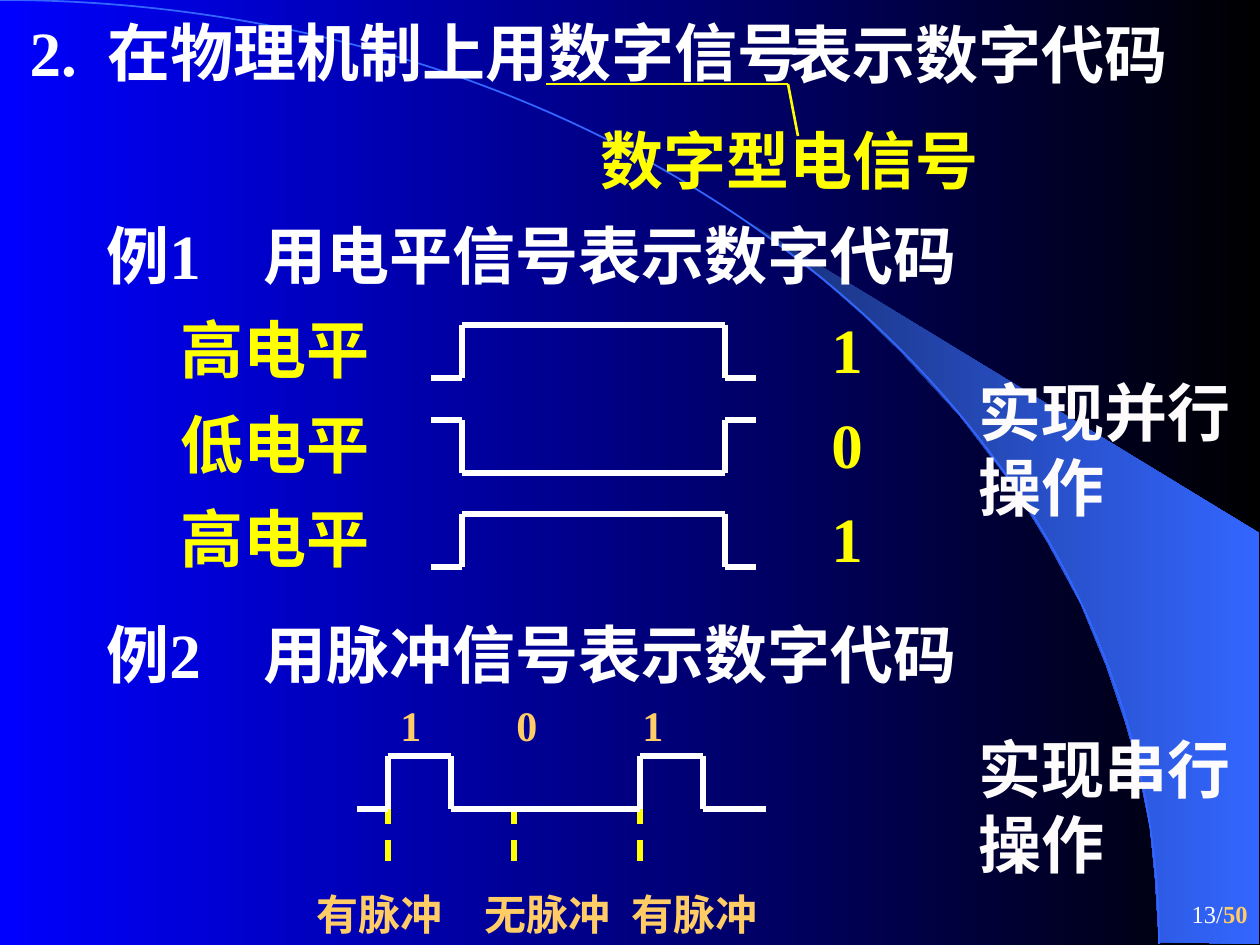
"""Build the slide on representing digital codes with level and pulse signals."""
from lxml import etree
from pptx import Presentation
from pptx.dml.color import RGBColor
from pptx.enum.dml import MSO_LINE
from pptx.enum.shapes import MSO_CONNECTOR
from pptx.enum.text import MSO_ANCHOR, MSO_AUTO_SIZE, PP_ALIGN
from pptx.oxml.ns import qn
from pptx.util import Emu, Pt

PX = 914400 / 126
FONT = "Times New Roman"
COLORS = {
    "blue": "0000FF",
    "black": "000000",
    "ray_dark": "182F76",
    "ray_light": "3366FF",
    "white": "FFFFFF",
    "off_white": "FDFBFB",
    "yellow": "FFFF00",
    "amber": "FFCC66",
}
RGB = {name: RGBColor.from_string(value) for name, value in COLORS.items()}


def write_text(shape, box, text, color, size=36, tab=None):
    shape.left, shape.top, shape.width, shape.height = [Emu(round(v * PX)) for v in box]
    frame = shape.text_frame
    frame.word_wrap = True
    frame.auto_size = MSO_AUTO_SIZE.NONE
    frame.vertical_anchor = MSO_ANCHOR.TOP
    frame.text = text
    paragraph = frame.paragraphs[0]
    paragraph.alignment = PP_ALIGN.LEFT
    if tab:
        stops = etree.SubElement(paragraph._p.get_or_add_pPr(), qn("a:tabLst"))
        etree.SubElement(stops, qn("a:tab"), pos=str(round(tab * PX)), algn="l")
    paragraph.font.name = FONT
    paragraph.font.size = Pt(size)
    paragraph.font.bold = True
    paragraph.font.color.rgb = RGB[color]


def draw_lines(points, color, width=3, dash=None):
    for start, end in zip(points, points[1:]):
        ends = [Emu(round(v * PX)) for v in start + end]
        segment = slide.shapes.add_connector(MSO_CONNECTOR.STRAIGHT, *ends)
        segment.line.color.rgb = RGB[color]
        segment.line.width = Pt(width)
        if dash:
            segment.line.dash_style = dash
        etree.SubElement(segment._element.spPr, qn("a:effectLst"))


presentation = Presentation()
presentation.slide_width = Emu(round(1260 * PX))
presentation.slide_height = Emu(round(945 * PX))
slide = presentation.slides.add_slide(presentation.slide_layouts[5])

ray_outline = [
    (1159, 942), (1259, 944), (1259, 533), (742, 218), (786, 251), (823, 280),
    (863, 315), (902, 353), (960, 416), (1012, 484), (1048, 543), (1081, 604),
    (1106, 665), (1125, 721), (1138, 767), (1150, 827), (1155, 877),
]
horizon_controls = [(0, 0), (640, 0), (1159, 422), (1159, 944)]
outlines = []
for points, closed in ((ray_outline, True), (horizon_controls, False)):
    corners = [(round(x * PX), round(y * PX)) for x, y in points]
    builder = slide.shapes.build_freeform(*corners[0])
    builder.add_line_segments(corners[1:], close=closed)
    outline = builder.convert_to_shape()
    outline.shadow.inherit = False
    outlines.append(outline)
ray, horizon = outlines
ray.line.fill.background()
horizon.fill.background()
horizon.line.color.rgb = RGB["ray_light"]
horizon.line.width = Pt(1)

horizon_path = next(horizon._element.iter(qn("a:path")))
curve = etree.SubElement(horizon_path, qn("a:cubicBezTo"))
for straight in horizon_path.findall(qn("a:lnTo")):
    curve.append(straight[0])
    horizon_path.remove(straight)

for fill, shades in (
    (slide.background.fill, ("blue", "black")),
    (ray.fill, ("ray_dark", "ray_light")),
):
    fill.gradient()
    fill.gradient_angle = 0
    for stop, shade, position in zip(fill.gradient_stops, shades, (0, 1)):
        stop.color.rgb = RGB[shade]
        stop.position = position

title = slide.shapes.title
write_text(title, (17, 7, 998, 97), "2.\t在物理机制上用数字信号", "white", tab=78)
slide.shapes._spTree.append(title._element)

labels = [
    ((777, 9, 471, 97), "表示数字代码", "white", 36, None),
    ((588, 115, 494, 88), "数字型电信号", "yellow", 36, None),
    ((94, 210, 987, 88), "例1\t用电平信号表示数字代码", "white", 36, 157),
    ((94, 609, 987, 88), "例2\t用脉冲信号表示数字代码", "white", 36, 157),
    ((966, 367, 294, 164), "实现并行操作", "off_white", 36, None),
    ((966, 724, 294, 164), "实现串行操作", "off_white", 36, None),
]
for top, level, bit in ((304, "高电平", "1"), (399, "低电平", "0"), (493, "高电平", "1")):
    labels.append(((168, top, 325, 88), level, "yellow", 36, None))
    labels.append(((819, top, 168, 88), bit, "yellow", 36, None))
    high, low = top + 21, top + 74
    rest, active = (low, high) if bit == "1" else (high, low)
    draw_lines(
        [(431, rest), (462, rest), (462, active), (725, active), (725, rest), (756, rest)],
        "white",
    )

for bit_left, pulse_left, tick, bit, pulse in (
    (388, 304, 388, "1", "有脉冲"),
    (504, 472, 514, "0", "无脉冲"),
    (630, 619, 640, "1", "有脉冲"),
):
    labels.append(((bit_left, 693, 94, 63), bit, "amber", 24, None))
    labels.append(((pulse_left, 882, 199, 63), pulse, "amber", 24, None))
    draw_lines([(tick, 861), (tick, 809)], "yellow", dash=MSO_LINE.DASH)

for box, text, color, size, tab in labels:
    write_text(slide.shapes.add_textbox(0, 0, 0, 0), box, text, color, size, tab)

pulse_train = [(357, 809)]
for rise in (388, 640):
    pulse_train += [(rise, 809), (rise, 756), (rise + 63, 756), (rise + 63, 809)]
draw_lines(pulse_train + [(766, 809)], "white")
draw_lines([(546, 84), (788, 84), (798, 136)], "yellow", 1.5)

page_box = [Emu(round(v * PX)) for v in (998, 882, 262, 63)]
page_frame = slide.shapes.add_textbox(*page_box).text_frame
page_frame.word_wrap = True
page_frame.vertical_anchor = MSO_ANCHOR.MIDDLE
page_number = page_frame.paragraphs[0]
page_number.alignment = PP_ALIGN.RIGHT
page_number.font.name = FONT
page_number.font.size = Pt(14)
for text, color, bold in (("13/", "white", False), ("50", "amber", True)):
    run = page_number.add_run()
    run.text = text
    run.font.bold = bold
    run.font.color.rgb = RGB[color]

presentation.save("out.pptx")
